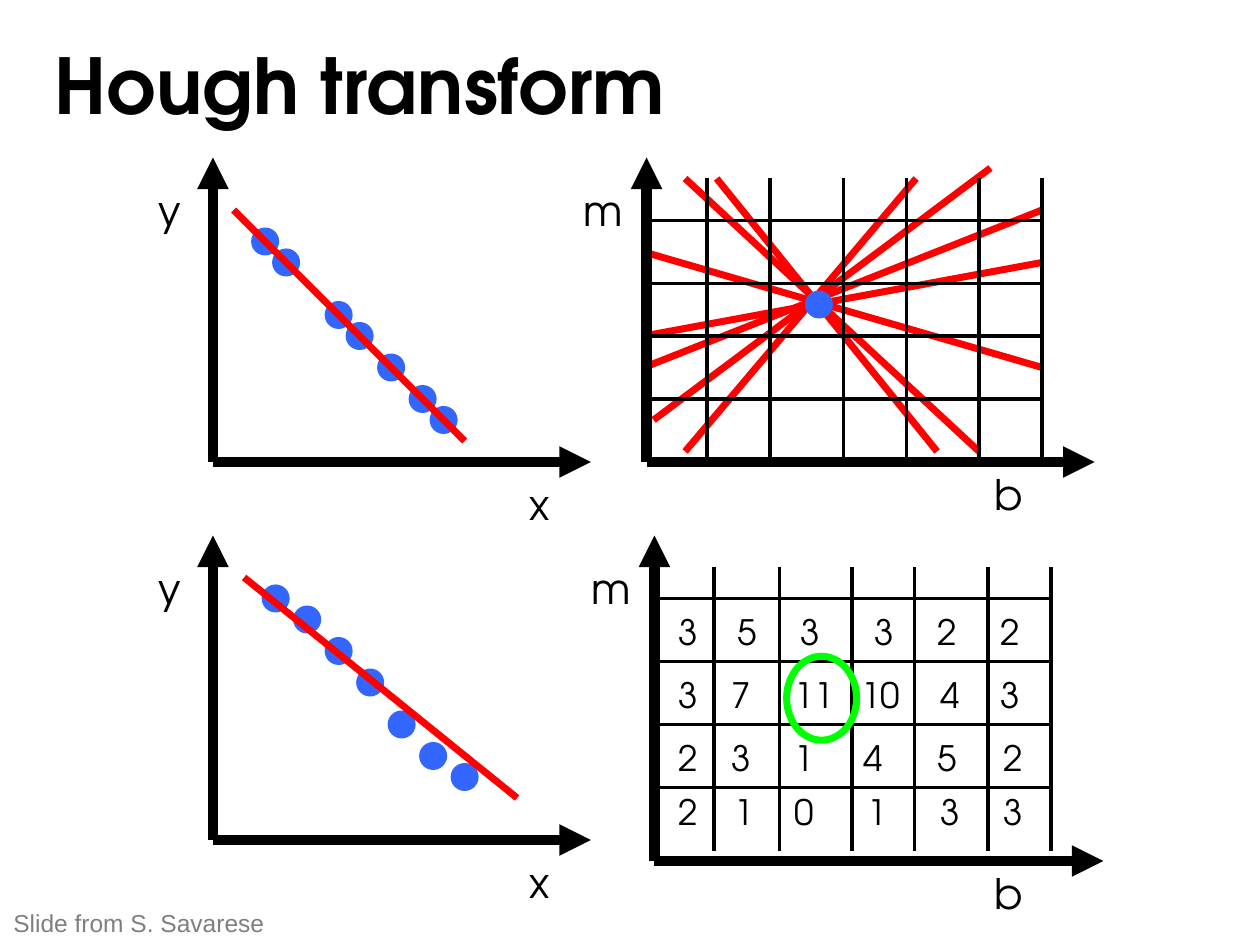
"""Build the Hough transform slide: points, parameter lines and vote counts."""
from lxml.etree import SubElement
from pptx import Presentation
from pptx.dml.color import RGBColor
from pptx.enum.shapes import MSO_CONNECTOR, MSO_SHAPE
from pptx.enum.text import MSO_AUTO_SIZE, PP_ALIGN
from pptx.oxml.ns import qn
from pptx.util import Pt

COLORS = {"black": "000000", "red": "FF0000", "blue": "3366FF",
          "green": "00FF00", "grey": "7F7F7F"}
FONT = "TeX Gyre Adventor"
ROW_GAP = 216
DOT = 12

TOP_POINTS = [(y + 13.5, y) for y in (132, 144, 174, 186, 204, 222, 234)]
LOW_POINTS = [(151.5 + 18 * i, y) for i, y in
              enumerate((336, 348, 366, 384, 408, 426, 438))]
RAYS = [((391.5, 258), (523.5, 102)), ((535.5, 258), (409.5, 102)),
        ((373.5, 240), (566, 96)), ((559.5, 258), (391.5, 102)),
        ((368, 192), (595.5, 150)), ((368, 210), (595.5, 120)),
        ((368, 144), (595.5, 210))]
VOTES = [
    (345.6, [("3", 380), ("5", 414), ("3", 450), ("3", 492), ("2", 528), ("2", 564)]),
    (381.6, [("3", 380), ("7", 410.5), ("11", 446.5), ("10", 484.5), ("4", 530), ("3", 564)]),
    (417.6, [("2", 380), ("3", 410.5), ("1", 446.5), ("4", 486), ("5", 528), ("2", 566)]),
    (448, [("2", 380), ("1", 412.5), ("0", 446.5), ("1", 488.5), ("3", 530), ("3", 566)]),
]


def rgb(name):
    """Return the named colour."""
    return RGBColor.from_string(COLORS[name])


def add_line(s, start, end, color, width, arrow=False):
    """Draw a straight line, with an arrowhead at its end if wanted."""
    c = s.shapes.add_connector(MSO_CONNECTOR.STRAIGHT,
                               *(Pt(v) for v in (*start, *end)))
    c.line.color.rgb = rgb(color)
    c.line.width = Pt(width)
    if arrow:
        SubElement(c.line._get_or_add_ln(), qn("a:tailEnd"), type="triangle")
    SubElement(c._element.spPr, qn("a:effectLst"))


def add_ellipse(s, x, y, w, h, color, filled=True):
    """Draw an ellipse, solid or as an outline."""
    sp = s.shapes.add_shape(MSO_SHAPE.OVAL, Pt(x), Pt(y), Pt(w), Pt(h))
    sp.shadow.inherit = False
    if filled:
        sp.fill.solid()
        sp.fill.fore_color.rgb = rgb(color)
    else:
        sp.fill.background()
    sp.line.color.rgb = rgb(color)
    sp.line.width = Pt(4)


def add_text(s, text, x, y, w, h, size, color="black", font=FONT,
             align=PP_ALIGN.CENTER, bold=False, wrap=False):
    """Add a one-line text box."""
    tf = s.shapes.add_textbox(Pt(x), Pt(y), Pt(w), Pt(h)).text_frame
    tf.word_wrap = wrap
    tf.auto_size = MSO_AUTO_SIZE.SHAPE_TO_FIT_TEXT
    tf.text = text
    p = tf.paragraphs[0]
    p.alignment = align
    r = p.runs[0]
    r.font.name = font
    r.font.size = Pt(size)
    r.font.bold = bold
    r.font.color.rgb = rgb(color)


def add_axes(s, x, y, top, right):
    """Draw a pair of arrowed axes from their origin."""
    add_line(s, (x, y), (x, top), "black", 6, arrow=True)
    add_line(s, (x, y), (right, y), "black", 6, arrow=True)


def add_grid(s, left, columns, rows, top, bottom):
    """Draw the grid lines of a parameter space."""
    for y in rows:
        add_line(s, (left, y), (columns[-1], y), "black", 2)
    for x in columns:
        add_line(s, (x, top), (x, bottom), "black", 2)


def add_point_plot(s, points, fit, dy):
    """Draw the x-y plot with its points and fitted line."""
    for x, y in points:
        add_ellipse(s, x, y, DOT, DOT, "blue")
    add_axes(s, 121.7, 264 + dy, 90 + dy, 337.7)
    add_text(s, "x", 295, 270 + dy, 26.6, 36, 24)
    add_text(s, "y", 83.5, 102 + dy, 26.6, 36, 24)
    add_line(s, *fit, "red", 4)


def add_ray_plot(s):
    """Draw the parameter space with the lines crossing in one point."""
    for start, end in RAYS:
        add_line(s, start, end, "red", 4)
    add_axes(s, 369.5, 264, 90, 625.5)
    add_text(s, "m", 326.2, 102, 36.7, 36, 24)
    add_text(s, "b", 561, 264, 28.8, 36, 24)
    add_grid(s, 368, (404, 440, 482, 518, 559.5, 595.5),
             (126, 162, 192, 228), 102, 264)
    add_ellipse(s, 462, 168, DOT, DOT, "blue")


def add_vote_plot(s):
    """Draw the parameter space with its vote counts and the maximum."""
    add_axes(s, 374, 492, 306, 630.5)
    add_text(s, "m", 331, 102 + ROW_GAP, 36.7, 36, 24)
    add_text(s, "b", 561, 492, 28.8, 36, 24)
    add_grid(s, 373, (408, 445.5, 487, 522.5, 564.5, 600.5),
             range(342, 451, 36), 324, 486)
    for y, row in VOTES:
        for vote, x in row:
            add_text(s, vote, x, y, 26 if len(vote) == 1 else 37.4, 31.7, 20)
    add_ellipse(s, 449.5, 375, 40, 48, "green", filled=False)


def main():
    """Build and save the slide."""
    prs = Presentation()
    prs.slide_width, prs.slide_height = Pt(720), Pt(540)
    s = prs.slides.add_slide(prs.slide_layouts[6])
    add_point_plot(s, TOP_POINTS, ((133.5, 120), (265.5, 252)), 0)
    add_point_plot(s, LOW_POINTS, ((139.5, 330), (295.5, 456)), ROW_GAP)
    add_vote_plot(s)
    add_ray_plot(s)
    add_text(s, "Hough transform", 24, 18, 420, 60.5, 44,
             align=PP_ALIGN.LEFT, bold=True, wrap=True)
    add_text(s, "Slide from S. Savarese", 0.5, 515.5, 170, 24.2, 14,
             color="grey", font="Arial", align=PP_ALIGN.LEFT, wrap=True)
    prs.save("out.pptx")


if __name__ == "__main__":
    main()
